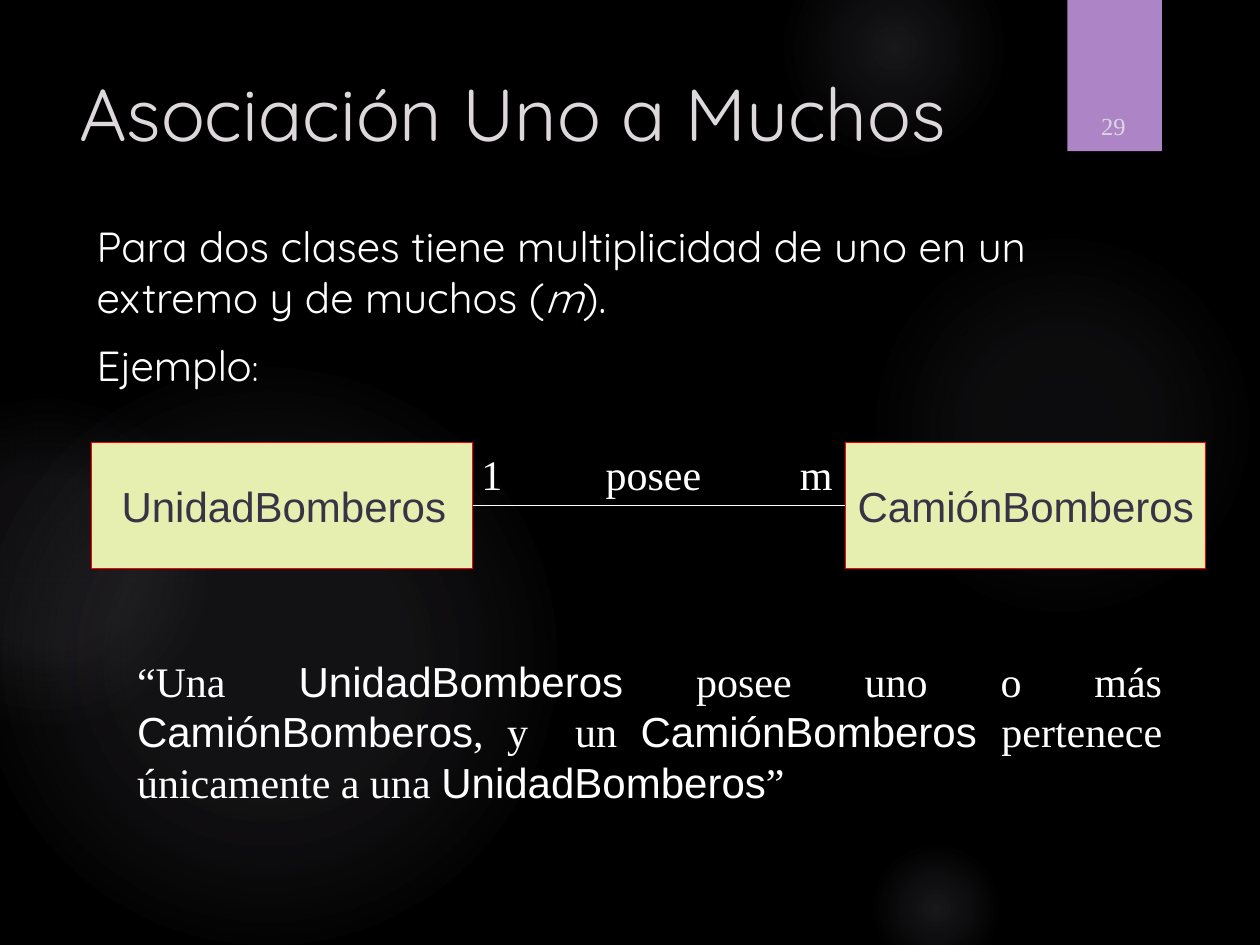
from lxml import etree
from pptx import Presentation
from pptx import util as u
from pptx.dml.color import RGBColor
from pptx.enum import shapes, text
from pptx.oxml import ns, parse_xml

BLACK = RGBColor(0x00, 0x00, 0x00)
WHITE = RGBColor(0xFF, 0xFF, 0xFF)
PALE = RGBColor(0xDC, 0xD8, 0xDC)
DARK = RGBColor(0x37, 0x35, 0x45)
LIME = RGBColor(0xE6, 0xEF, 0xAF)
RED = RGBColor(0xFF, 0x00, 0x00)
PURPLE = RGBColor(0xAD, 0x84, 0xC6)
GLOW = RGBColor(0xAA, 0xA7, 0xBC)
SERIF, SANS, ROUND = "Times New Roman", "Arial", "Quicksand"


def write(para, words, font=SERIF, size=24, color=WHITE, italic=False):
    run = para.add_run()
    run.text = words
    run.font.name = font
    run.font.size = u.Pt(size)
    run.font.color.rgb = color
    run.font.italic = italic


def place(shape, box):
    shape.left, shape.top, shape.width, shape.height = map(u.Pt, box)


class Deck:
    def __init__(self):
        self.prs = Presentation()
        self.prs.slide_width, self.prs.slide_height = u.Pt(720), u.Pt(540)
        self.slide = self.prs.slides.add_slide(self.prs.slide_layouts[1])
        self.tree = self.slide.shapes
        fill = self.slide.background.fill
        fill.solid()
        fill.fore_color.rgb = BLACK

    def shape(self, kind, box, color=None, edge=None):
        item = self.tree.add_shape(kind, *map(u.Pt, box))
        item.shadow.inherit = False
        if color is None:
            item.fill.background()
        else:
            item.fill.solid()
            item.fill.fore_color.rgb = color
        if edge is None:
            item.line.fill.background()
        else:
            item.line.color.rgb = edge
            item.line.width = u.Pt(0.75)
        return item

    def glow(self, left, top, size, stops):
        """Draw a soft round light; stops are (position %, opacity %)."""
        item = self.shape(shapes.MSO_SHAPE.OVAL, (left, top, size, size))
        marks = "".join(
            f'<a:gs pos="{pos * 1000}"><a:srgbClr val="{GLOW}">'
            f'<a:alpha val="{alpha * 1000}"/></a:srgbClr></a:gs>'
            for pos, alpha in stops)
        grad = parse_xml(
            f'<a:gradFill {ns.nsdecls("a")}><a:gsLst>{marks}</a:gsLst>'
            '<a:path path="circle"><a:fillToRect l="50000" t="50000" '
            'r="50000" b="50000"/></a:path></a:gradFill>')
        props = item._element.spPr
        props.replace(props.find(ns.qn("a:noFill")), grad)

    def holder(self, index, box):
        """Bring a placeholder to the front, in place and top-aligned."""
        item = self.slide.placeholders[index]
        self.tree._spTree.append(item._element)
        place(item, box)
        frame = item.text_frame
        frame.word_wrap = True
        frame.auto_size = text.MSO_AUTO_SIZE.NONE
        frame.vertical_anchor = text.MSO_ANCHOR.TOP
        return frame

    def title(self, words, box):
        para = self.holder(0, box).paragraphs[0]
        para.alignment = text.PP_ALIGN.LEFT
        write(para, words, ROUND, 42, PALE)

    def body(self, items, box):
        """Fill the body; each item is (hanging indent, runs)."""
        frame = self.holder(1, box)
        for i, (hang, runs) in enumerate(items):
            para = frame.add_paragraph() if i else frame.paragraphs[0]
            props = para._p.get_or_add_pPr()
            props.set("marL", str(u.Pt(hang)))
            props.set("indent", str(-u.Pt(hang)))
            etree.SubElement(props, ns.qn("a:buNone"))
            para.space_before = u.Pt(10 if i else 0)
            for words, style in runs:
                write(para, words, ROUND, **style)

    def label(self, runs, box, wrap=False, align=text.PP_ALIGN.LEFT,
              anchor=text.MSO_ANCHOR.TOP):
        """Add a text box; one that does not wrap grows with its text."""
        frame = self.tree.add_textbox(*map(u.Pt, box)).text_frame
        frame.word_wrap = wrap
        frame.vertical_anchor = anchor
        if not wrap:
            frame.auto_size = text.MSO_AUTO_SIZE.SHAPE_TO_FIT_TEXT
        para = frame.paragraphs[0]
        para.alignment = align
        for words, style in runs:
            write(para, words, **style)

    def link(self, start, end):
        """Join the right side of start to the left side of end."""
        line = self.tree.add_connector(shapes.MSO_CONNECTOR.STRAIGHT, 0, 0, 0, 0)
        line.begin_connect(start, 3)
        line.end_connect(end, 1)
        line.line.color.rgb = WHITE
        line.line.width = u.Pt(0.75)
        etree.SubElement(line._element.spPr, ns.qn("a:effectLst"))


def main():
    deck = Deck()
    rect = shapes.MSO_SHAPE.RECTANGLE
    for left, top, size, stops in (
            (496, 132, 222, ((0, 7), (36, 6), (69, 0), (100, 0))),
            (448, -36, 126, ((0, 14), (36, 7), (73, 0), (100, 0))),
            (496, 480, 78, ((0, 14), (36, 7), (66, 0), (100, 0))),
            (-12, 210, 330, ((0, 11), (36, 10), (75, 0), (100, 0))),
            (-66, 228, 186, ((0, 8), (36, 8), (72, 0), (100, 0)))):
        deck.glow(left, top, size, stops)
    deck.shape(rect, (610, 0, 54, 86.4), PURPLE)

    deck.title("Asociación Uno a Muchos", (38, 35.5, 556, 110))
    deck.body([
        (0, [("Para dos clases tiene multiplicidad de uno en un extremo "
              "y de muchos (", {}), ("m", {"italic": True}), (").", {})]),
        (27, [("Ejemplo", {}), (":", {"size": 20})]),
    ], (48, 122.5, 613, 373))
    deck.label([("29", {"size": 14, "color": PALE})], (611.5, 23.3, 49.5, 60.5),
               True, text.PP_ALIGN.CENTER, text.MSO_ANCHOR.BOTTOM)

    top = 252.8
    ends = []
    for name, left, width, inset, room in (
            ("UnidadBomberos", 52.4, 217.6, 10, 200),
            ("CamiónBomberos", 483, 206, 0, 207)):
        ends.append(deck.shape(rect, (left, top, width, 72), LIME, RED))
        deck.label([(name, {"font": SANS, "color": DARK})],
                   (left + inset, top + 18, room, 36))
    deck.link(*ends)
    for words, left, width in (("posee", 339, 69), ("1", 268, 26.5), ("m", 450, 33)):
        deck.label([(words, {})], (left, top, width, 36))

    sans = {"font": SANS}
    deck.label([
        ("“Una ", {}), ("UnidadBomberos", sans), (" posee uno o más ", {}),
        ("CamiónBomberos", sans), (", y  un ", {}), ("CamiónBomberos ", sans),
        ("pertenece únicamente a una ", {}), ("UnidadBomberos", sans), ("”", {}),
    ], (71.2, 371, 600, 93.5), True, text.PP_ALIGN.JUSTIFY)
    deck.prs.save("out.pptx")


if __name__ == "__main__":
    main()
